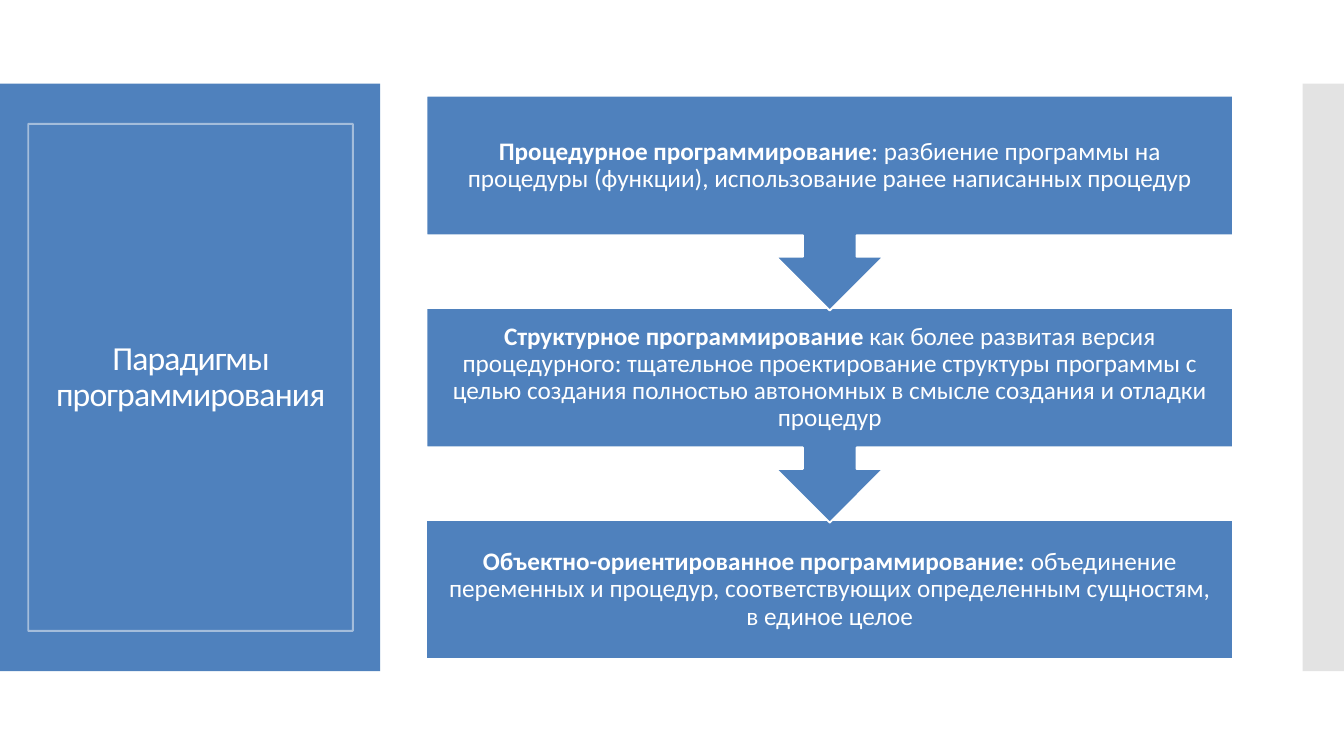
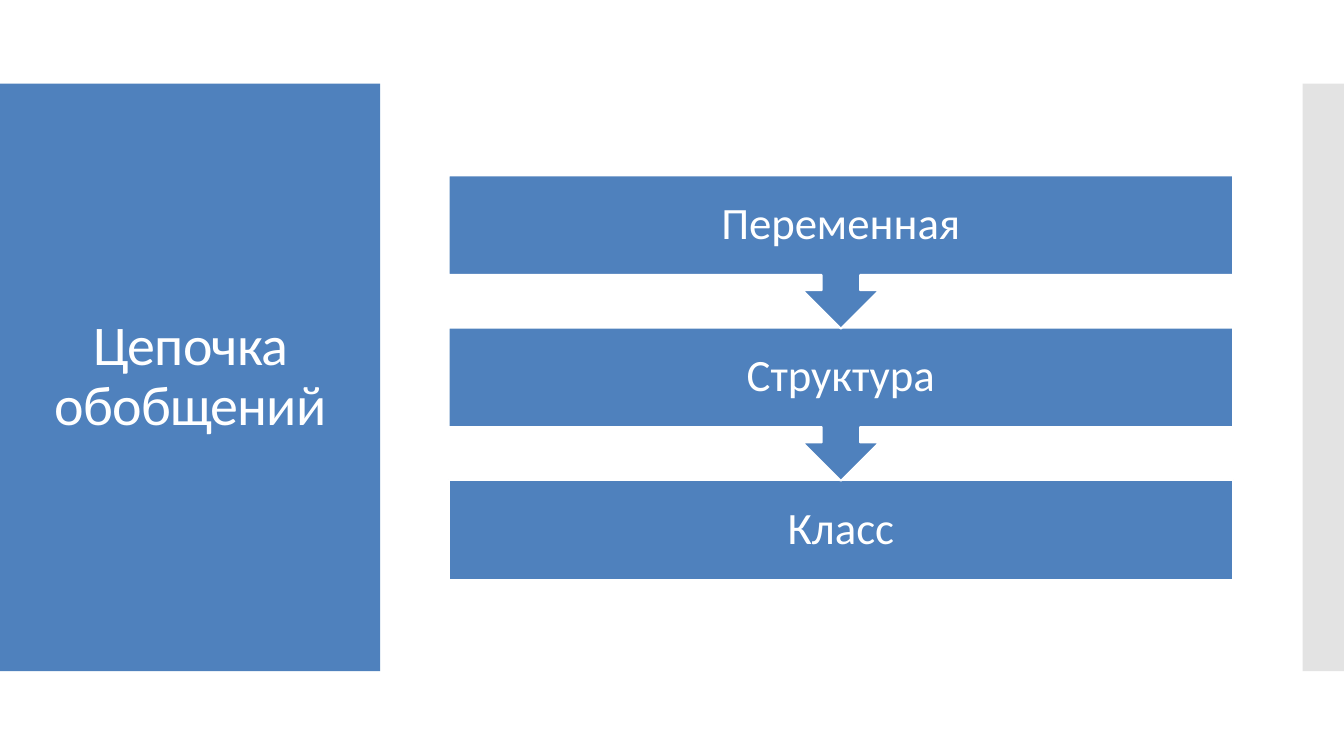
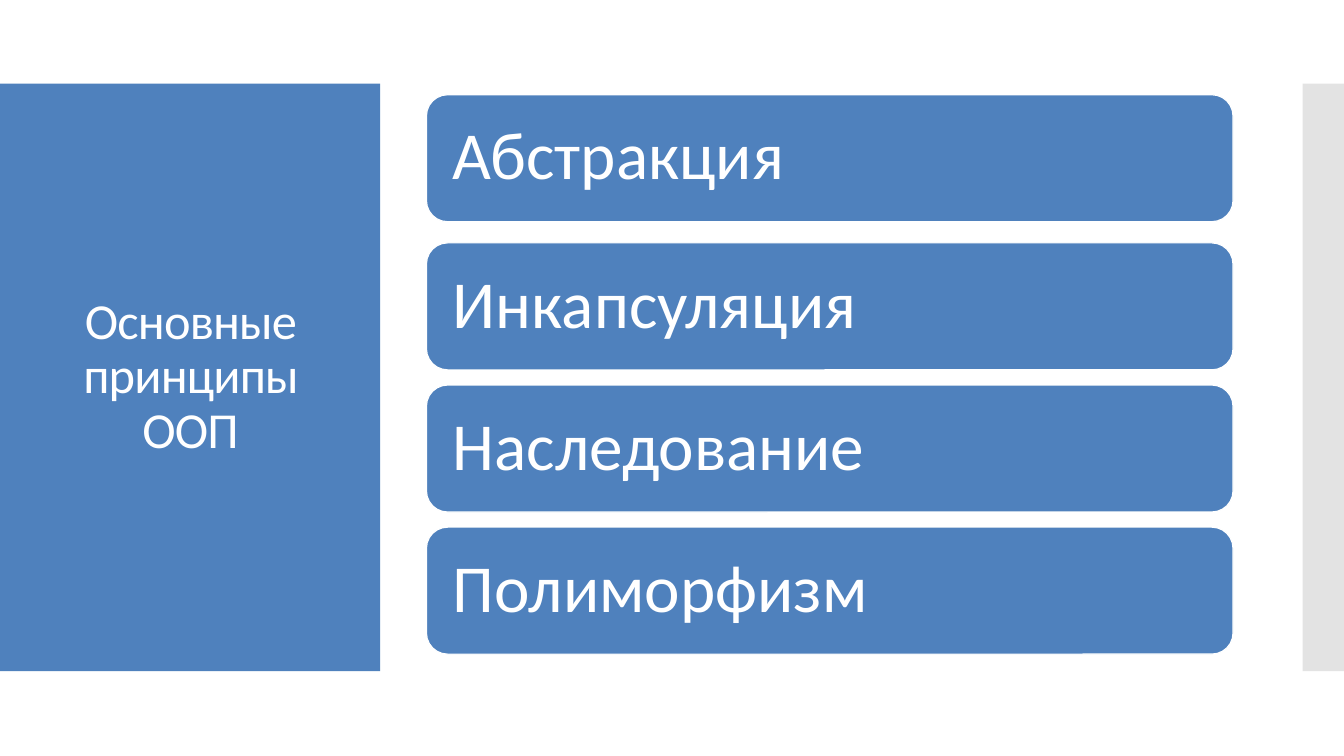
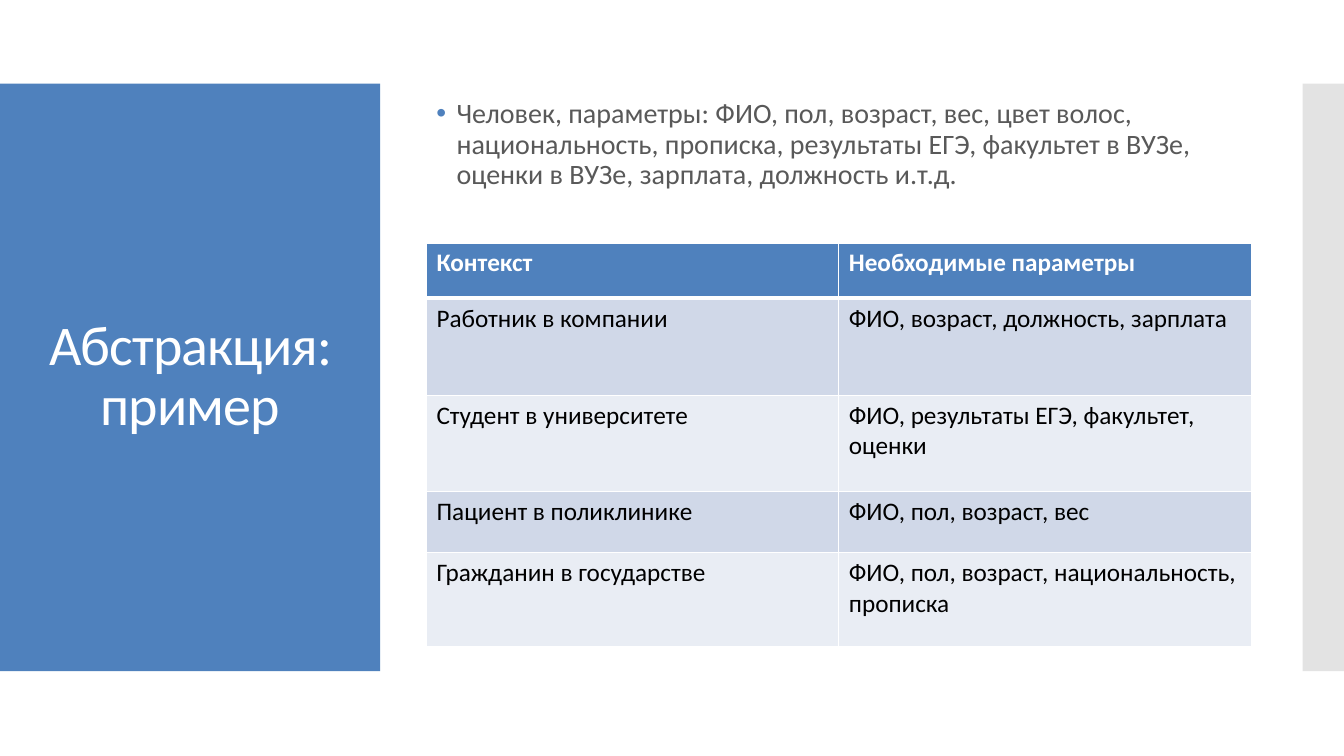
from lxml import etree
from pptx import Presentation
from pptx.dml.color import RGBColor
from pptx.enum.shapes import MSO_SHAPE
from pptx.enum.text import MSO_ANCHOR, PP_ALIGN
from pptx.oxml.ns import qn
from pptx.util import Inches, Pt

RECTANGLE = MSO_SHAPE.RECTANGLE
ROUNDED = MSO_SHAPE.ROUNDED_RECTANGLE
DOWN_CALLOUT = MSO_SHAPE.DOWN_ARROW_CALLOUT
LEFT, CENTER = PP_ALIGN.LEFT, PP_ALIGN.CENTER
TOP, MIDDLE = MSO_ANCHOR.TOP, MSO_ANCHOR.MIDDLE

FONT = "Calibri"
BLUE, WHITE, BLACK = "4F81BD", "FFFFFF", "000000"
SIDE_GREY, TITLE_FRAME, BODY_GREY = "C8C8C8", "F9F9F9", "595959"
ROW_DARK, ROW_LIGHT = "D0D8E8", "E9EDF4"


def write_text(frame, text, lead="", size=18, color=WHITE, bold=False, align=CENTER,
               anchor=MIDDLE, inset=0.1, line_spacing=0.9, tracking=None):
    """Fill the frame with one paragraph; lead is a bold opening before text."""
    frame.word_wrap = True
    frame.vertical_anchor = anchor
    frame.margin_left = frame.margin_right = Inches(inset)
    frame.margin_top = frame.margin_bottom = Inches(min(inset, 0.05) if inset == 0.1 else inset)
    paragraph = frame.paragraphs[0]
    paragraph.alignment = align
    paragraph.line_spacing = line_spacing
    for part, is_bold in ((lead, True), (text, bold)):
        if part:
            run = paragraph.add_run()
            run.text = part
            run.font.name = FONT
            run.font.size = Pt(size)
            run.font.bold = is_bold
            run.font.color.rgb = RGBColor.from_string(color)
            if tracking is not None:
                run.font._element.set("spc", str(tracking))
    return paragraph


def add_block(slide, preset, left, top, width, height, fill=BLUE, line=None,
              line_width=1.35, fill_alpha=100, line_alpha=100):
    block = slide.shapes.add_shape(preset, Inches(left), Inches(top), Inches(width), Inches(height))
    block.shadow.inherit = False
    block.fill.solid()
    block.fill.fore_color.rgb = RGBColor.from_string(fill)
    if line:
        block.line.color.rgb = RGBColor.from_string(line)
        block.line.width = Pt(line_width)
    else:
        block.line.fill.background()
    for query, alpha in (("./p:spPr/a:solidFill/a:srgbClr", fill_alpha),
                         ("./p:spPr/a:ln/a:solidFill/a:srgbClr", line_alpha)):
        if alpha < 100:
            for color in block.element.xpath(query):
                etree.SubElement(color, qn("a:alpha"), val=str(alpha * 1000))
    return block


prs = Presentation()
prs.slide_width, prs.slide_height = Inches(13.33), Inches(7.5)
blank = prs.slide_layouts[6]

# Shared bands and titles
titles = [
    ("Парадигмы программирования", 24, TITLE_FRAME),
    ("Цепочка обобщений", 40, None),
    ("Основные принципы ООП", 36, None),
    ("Абстракция: пример", 40, None),
]
slides = []
for title, size, frame_color in titles:
    slide = prs.slides.add_slide(blank)
    add_block(slide, RECTANGLE, 0, 0.83, 3.77, 5.83)
    add_block(slide, RECTANGLE, 12.92, 0.83, 0.42, 5.83, fill=SIDE_GREY, fill_alpha=50)
    heading = add_block(slide, RECTANGLE, 0.28, 1.23, 3.22, 5.03, line=frame_color, line_alpha=50)
    write_text(heading.text_frame, title, size=size, tracking=-60)
    slides.append(slide)
paradigms, generalization, principles, abstraction = slides

# Paradigms and generalization: chains of callouts ending in a plain box
paradigm_steps = [
    ("Процедурное программирование",
     ": разбиение программы на процедуры (функции), использование ранее написанных процедур"),
    ("Структурное программирование",
     " как более развитая версия процедурного: тщательное проектирование структуры программы "
     "с целью создания полностью автономных в смысле создания и отладки процедур"),
    ("Объектно-ориентированное программирование: ",
     "объединение переменных и процедур, соответствующих определенным сущностям, в единое целое"),
]
generalization_steps = [("", "Переменная"), ("", "Структура"), ("", "Класс")]
chains = [
    (paradigms, paradigm_steps, 4.23, 0.95, 8, 2.105, 1.38, 2.13, 18, 0.14),
    (generalization, generalization_steps, 4.45, 1.74, 7.78, 1.51, 0.99, 1.52, 32, 0.25),
]
for slide, steps, left, top, width, pitch, box_height, callout_height, size, inset in chains:
    last = len(steps) - 1
    for i in range(last, -1, -1):  # upper callouts lie over the lower ones
        preset, height = (RECTANGLE, box_height) if i == last else (DOWN_CALLOUT, callout_height)
        step = add_block(slide, preset, left, top + i * pitch, width, height, line=WHITE)
        lead, text = steps[i]
        write_text(step.text_frame, text, lead=lead, size=size, inset=inset)

# Principles
for principle, top in (("Абстракция", 0.94), ("Инкапсуляция", 2.41),
                       ("Наследование", 3.82), ("Полиморфизм", 5.23)):
    card = add_block(principles, ROUNDED, 4.23, top, 8, 1.26, line=WHITE, line_width=0.85)
    write_text(card.text_frame, principle, size=48, align=LEFT, inset=0.2)

# Abstraction: bullet and table
person = abstraction.shapes.add_textbox(Inches(4.23), Inches(0.94), Inches(8), Inches(1.3))
bullet = write_text(
    person.text_frame,
    "Человек, параметры: ФИО, пол, возраст, вес, цвет волос, национальность, прописка, "
    "результаты ЕГЭ, факультет в ВУЗе, оценки в ВУЗе, зарплата, должность и.т.д.",
    size=20, color=BODY_GREY, align=LEFT, anchor=TOP)
bullet.space_before, bullet.space_after = Pt(12), Pt(24)
bullet_format = bullet._p.get_or_add_pPr()
bullet_format.set("marL", str(Inches(0.2)))
bullet_format.set("indent", str(-Inches(0.2)))
bullet_color = etree.SubElement(bullet_format, qn("a:buClr"))
etree.SubElement(bullet_color, qn("a:srgbClr"), val=BLUE)
etree.SubElement(bullet_format, qn("a:buFont"), typeface="Arial")
etree.SubElement(bullet_format, qn("a:buChar"), char="•")

contexts = [
    ("Контекст", "Необходимые параметры", 0.55),
    ("Работник в компании", "ФИО, возраст, должность, зарплата", 0.96),
    ("Студент в университете", "ФИО, результаты ЕГЭ, факультет, оценки", 0.96),
    ("Пациент в поликлинике", "ФИО, пол, возраст, вес", 0.6),
    ("Гражданин в государстве", "ФИО, пол, возраст, национальность, прописка", 0.94),
]
table = abstraction.shapes.add_table(len(contexts), 2, Inches(4.23), Inches(2.41),
                                     Inches(8.18), Inches(4.01)).table
for r, (context, parameters, height) in enumerate(contexts):
    table.rows[r].height = Inches(height)
    header = r == 0
    fill = BLUE if header else ROW_DARK if r % 2 else ROW_LIGHT
    border_widths = {"lnL": 1, "lnR": 1, "lnT": 3 if r == 1 else 1, "lnB": 3 if header else 1}
    for c, text in enumerate((context, parameters)):
        cell = table.cell(r, c)
        cell.fill.solid()
        cell.fill.fore_color.rgb = RGBColor.from_string(fill)
        write_text(cell.text_frame, text, color=WHITE if header else BLACK, bold=header,
                   align=LEFT, anchor=TOP, line_spacing=1)
        cell_format = cell._tc.get_or_add_tcPr()
        for position, (side, width) in enumerate(border_widths.items()):
            border = etree.Element(qn("a:" + side), w=str(Pt(width)))
            border_fill = etree.SubElement(border, qn("a:solidFill"))
            etree.SubElement(border_fill, qn("a:srgbClr"), val=WHITE)
            cell_format.insert(position, border)

prs.save("out.pptx")
